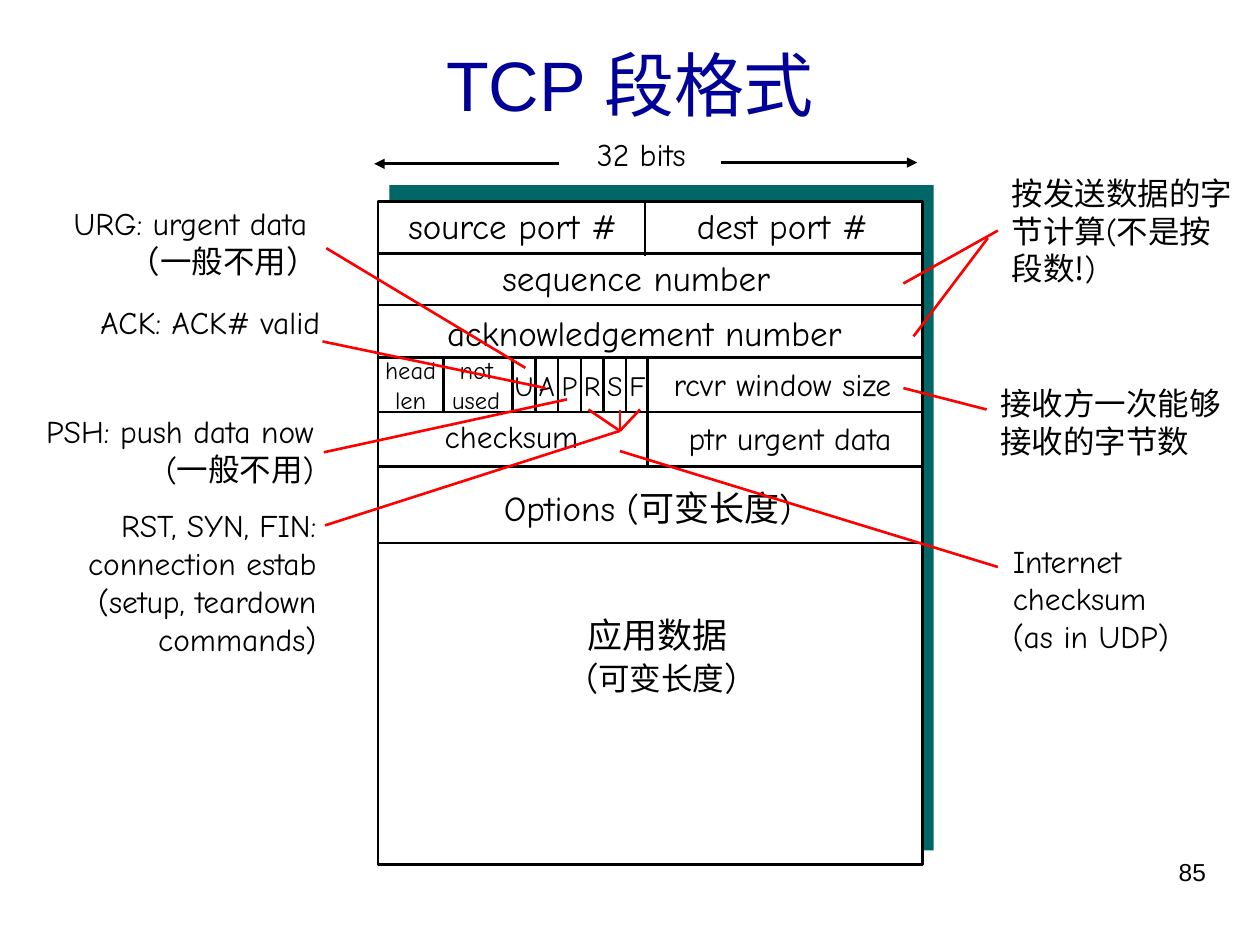
from pptx import Presentation
from pptx.util import Inches, Pt
from pptx.dml.color import RGBColor
from pptx.enum.shapes import MSO_CONNECTOR, MSO_SHAPE
from pptx.enum.text import MSO_ANCHOR, MSO_AUTO_SIZE, PP_ALIGN
from pptx.oxml.ns import qn
from lxml import etree

STRAIGHT, RECT = MSO_CONNECTOR.STRAIGHT, MSO_SHAPE.RECTANGLE
LEFT, CENTER, RIGHT = PP_ALIGN.LEFT, PP_ALIGN.CENTER, PP_ALIGN.RIGHT
TOP, MIDDLE = MSO_ANCHOR.TOP, MSO_ANCHOR.MIDDLE
GROW, FIXED = MSO_AUTO_SIZE.SHAPE_TO_FIT_TEXT, MSO_AUTO_SIZE.NONE
COLORS = {"ink": "000000", "paper": "FFFFFF", "title": "000099",
          "shade": "006666", "callout": "FF0000"}
COMIC, ARIAL, TIMES, CJK = "Comic Neue", "Arial", "Times New Roman", "Noto Sans CJK SC"

prs = Presentation()
prs.slide_width, prs.slide_height = Inches(10), Inches(7.5)
COL, ROW = prs.slide_width / 100, prs.slide_height / 75
s = prs.slides.add_slide(prs.slide_layouts[6])


def add_text(x, y, w, h, paragraphs, size, align=CENTER, wrap=False, font=COMIC,
             color="ink", anchor=TOP, fit=GROW, inset=1):
    box = s.shapes.add_textbox(round(x * COL), round(y * ROW), round(w * COL), round(h * ROW))
    tf = box.text_frame
    frame = {"word_wrap": wrap, "auto_size": fit, "vertical_anchor": anchor,
             "margin_left": round(inset * COL), "margin_right": round(inset * COL)}
    for name, value in frame.items():
        setattr(tf, name, value)
    for i, runs in enumerate(paragraphs):
        p = tf.add_paragraph() if i else tf.paragraphs[0]
        p.alignment = align
        for run in [(runs,)] if isinstance(runs, str) else runs:
            text, run_font, run_size = (run + (font, size)[len(run) - 1:])[:3]
            r = p.add_run()
            r.text = text
            r.font.color.rgb = RGBColor.from_string(COLORS[color])
            for name, value in {"size": Pt(run_size), "name": run_font}.items():
                setattr(r.font, name, value)
            etree.SubElement(r.font._element, qn("a:ea")).set("typeface", CJK)


def add_line(x1, y1, x2, y2, color="ink", arrow=False):
    line = s.shapes.add_connector(STRAIGHT, round(x1 * COL), round(y1 * ROW),
                                  round(x2 * COL), round(y2 * ROW))
    line.line.width = Pt(1.5)
    line.line.color.rgb = RGBColor.from_string(COLORS[color])
    if arrow:
        etree.SubElement(line.line._get_or_add_ln(), qn("a:tailEnd")).set("type", "triangle")
    etree.SubElement(line._element.spPr, qn("a:effectLst"))


add_text(71.7, 67.5, 25, 5.2, ["85"], 14, RIGHT, True, ARIAL, fit=FIXED)
add_text(3.3, 2.5, 93.4, 8.3, ["TCP 段格式"], 40, CENTER, True, ARIAL, "title", MIDDLE, FIXED)

SEG_L, SEG_R, SEG_T, SEG_B = 30, 73.2, 16, 68.6
for x, y, w, h, fill in [(30.9, 14.7, 43.2, 52.8, "shade"),
                         (SEG_L, SEG_T, SEG_R - SEG_L, SEG_B - SEG_T, "paper")]:
    sp = s.shapes.add_shape(RECT, round(x * COL), round(y * ROW), round(w * COL), round(h * ROW))
    sp.shadow.inherit = False
    sp.fill.solid()
    sp.fill.fore_color.rgb = RGBColor.from_string(COLORS[fill])
    if fill == "shade":
        sp.line.fill.background()
    else:
        sp.line.color.rgb = RGBColor.from_string(COLORS["ink"])
        sp.line.width = Pt(1.5)

RULES = [20.1, 24.2, 28.4, 32.7, 37, 43.1]
FLAG_L, FLAG_W, FLAGS = 40.7, 1.8, "UAPRSF"
for y in RULES:
    add_line(SEG_L, y, SEG_R, y)
add_line(51.2, SEG_T, 51.2, 20.3)
add_line(51.4, RULES[2], 51.4, RULES[4])
add_line(35.2, RULES[2], 35.2, RULES[3])
for i, flag in enumerate(FLAGS):
    x = FLAG_L + i * FLAG_W
    add_line(x, RULES[2], x, RULES[3])
    add_text(x - 0.9, 28.75, 3.6, 3.7, [flag], 16)

add_line(57.2, 12.9, 72.8, 12.9, arrow=True)
add_line(44.4, 13, 29.7, 13, arrow=True)

FIELDS = [
    (45.9, 10.2, 10, 4, ["32 bits"], 18),
    (31.2, 15.7, 19, 4.4, ["source port #"], 20),
    (54.1, 15.7, 16, 4.4, ["dest port #"], 20),
    (36.9, 19.9, 27.2, 4.4, ["sequence number"], 20),
    (32.5, 24.2, 37.3, 4.4, ["acknowledgement number"], 20),
    (29.1, 27.7, 7, 5.7, ["head", "len"], 14),
    (34.3, 27.7, 7, 5.7, ["not", "used"], 14),
    (52.1, 28.5, 20, 4, ["rcvr window size"], 18),
    (34.1, 32.6, 13, 4, ["checksum"], 18),
    (53.2, 32.8, 19, 4, ["ptr urgent data"], 18),
    (37.9, 38.1, 27, 4.4, ["Options (可变长度)"], 20),
    (44.5, 48.2, 16, 7.7, ["应用数据 ", [("(",), ("可变长度", TIMES, 18), (")",)]], 20),
]
for field in FIELDS:
    add_text(*field)

NOTES = [
    (4.7, 15.7, 21.5, 7, ["URG: urgent data ", "（一般不用）"], RIGHT, False, 1),
    (3.3, 23.6, 23.1, 4, ["ACK: ACK# valid"], RIGHT, True, 1),
    (2.6, 32.2, 23.3, 7, ["PSH: push data now", [("(",), ("一般不用", TIMES), (")",)]],
     RIGHT, False, 1),
    (5.9, 39.7, 20.2, 13, ["RST, SYN, FIN:", "connection estab", "(setup, teardown", "commands)"],
     RIGHT, False, 1),
    (79.2, 30, 18.3, 7, ["接收方一次能够接收的字节数"], LEFT, True, 0.2),
    (79.3, 13.3, 20.3, 10, [[("按发送数据的字节计算(不是按段数",), ("!", CJK), (")",)]],
     LEFT, True, 1),
    (79.4, 42.5, 14.4, 10, ["Internet", "checksum", "(as in UDP)"], LEFT, False, 1),
]
for x, y, w, h, paragraphs, align, wrap, inset in NOTES:
    add_text(x, y, w, h, paragraphs, 18, align, wrap, inset=inset)

CALLOUTS = [
    (25.9, 19.7, 41.7, 29.2), (25.6, 27.1, 43.3, 30.8), (25.7, 35.9, 45, 31.7),
    (79.2, 45, 49.2, 35.8), (78.3, 32.5, 71.7, 30.8), (78.4, 18.9, 72.5, 26.7),
    (79.2, 18.3, 71.7, 22.5), (25.8, 41.7, 49.2, 34.2),
]
for ends in CALLOUTS:
    add_line(*ends, color="callout")
for x in (46.7, 49.2, 50.8):
    add_line(x, 32.5, 49.2, 34.2, "callout")

prs.save("out.pptx")
